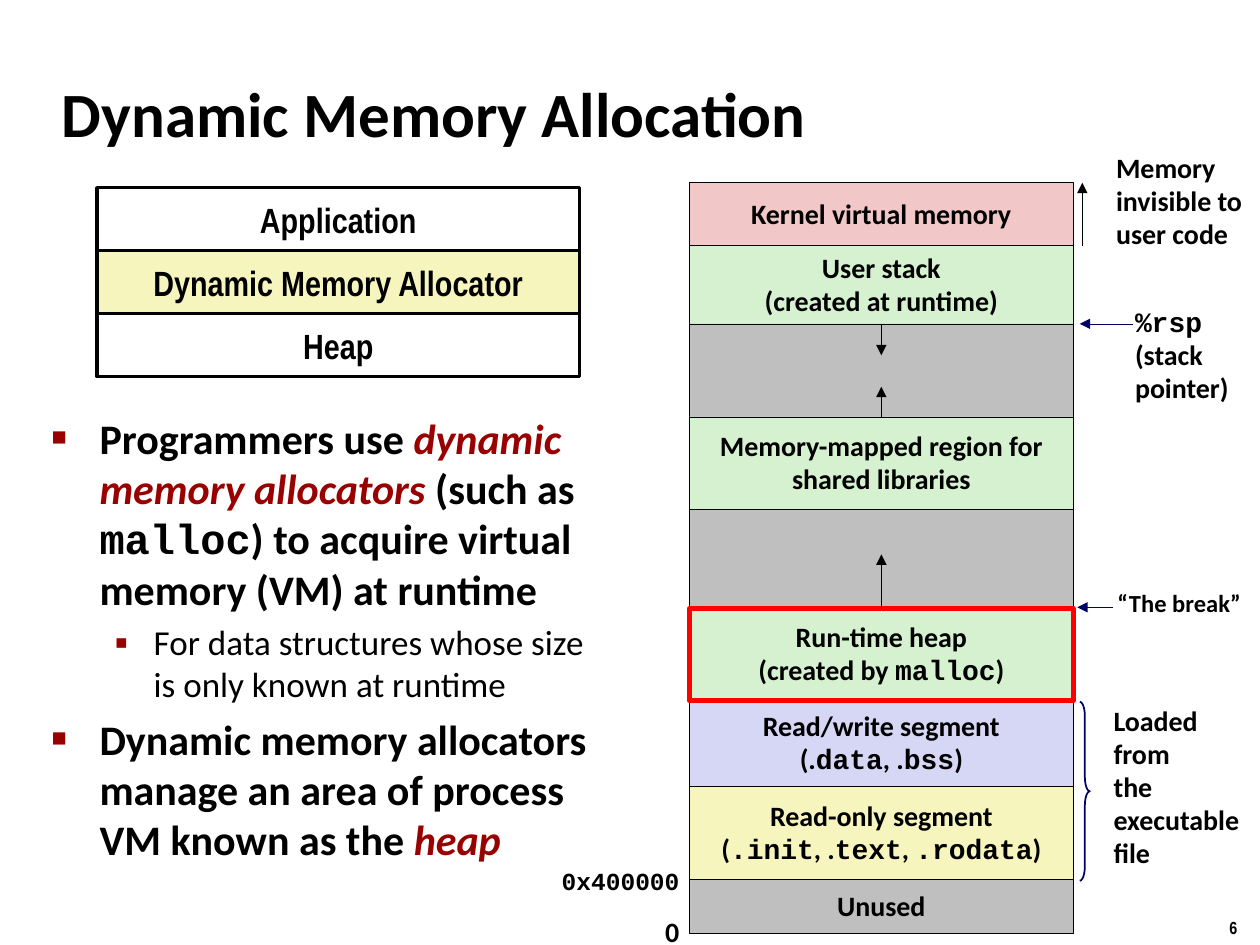
from dataclasses import dataclass
from itertools import pairwise

from lxml.etree import SubElement
from pptx import Presentation
from pptx.dml.color import RGBColor
from pptx.enum.shapes import MSO_CONNECTOR as Connector, MSO_SHAPE as Shape
from pptx.enum.text import MSO_ANCHOR as Anchor, MSO_AUTO_SIZE as AutoSize, PP_ALIGN as Align
from pptx.oxml.ns import qn
from pptx.util import Inches, Pt


@dataclass(frozen=True)
class Theme:
    black: str = "000000"
    white: str = "FFFFFF"
    navy: str = "000066"
    crimson: str = "990000"
    red: str = "FF0000"
    pink: str = "F1C7C7"
    green: str = "D5F1CF"
    gray: str = "BFBFBF"
    lilac: str = "D6D6F5"
    yellow: str = "F6F5BD"
    body_font: str = "Calibri"
    code_font: str = "Courier New"
    narrow_font: str = "Arial Narrow"
    title_size: int = 36
    point_size: int = 24
    large_size: int = 20
    label_size: int = 16
    small_size: int = 14
    number_size: int = 10
    hairline: float = 0.25


class SlideBuilder:
    """Place styled elements on a slide using a grid of 100 columns by 75 rows."""

    def __init__(self, presentation, theme):
        self.theme = theme
        self.column = presentation.slide_width / 100
        self.row = presentation.slide_height / 75
        self.slide = presentation.slides.add_slide(presentation.slide_layouts[1])

    def box(self, left, top, width, height):
        return (round(left * self.column), round(top * self.row),
                round(width * self.column), round(height * self.row))

    def move(self, shape, area):
        for name, value in zip(("left", "top", "width", "height"), self.box(*area)):
            setattr(shape, name, value)

    def add_runs(self, paragraph, pieces, size, font=None, bold=True):
        theme = self.theme
        for piece in [pieces] if isinstance(pieces, str) else pieces:
            style, text = ("plain", piece) if isinstance(piece, str) else piece
            run = paragraph.add_run()
            run.text = text
            emphasis = style == "emphasis"
            name = theme.code_font if style == "code" else font or theme.body_font
            values = {"name": name, "size": Pt(size), "bold": bold, "italic": emphasis}
            for key, value in values.items():
                setattr(run.font, key, value)
            run.font.color.rgb = RGBColor.from_string(theme.crimson if emphasis else theme.black)

    def fill_text(self, shape, lines, size, font=None, align=Align.LEFT, spacing=None, **frame_format):
        frame = shape.text_frame
        frame.word_wrap = False
        for key, value in frame_format.items():
            setattr(frame, key, value)
        for index, pieces in enumerate(lines):
            paragraph = frame.add_paragraph() if index else frame.paragraphs[0]
            for key, value in {"alignment": align, "line_spacing": spacing}.items():
                setattr(paragraph, key, value)
            self.add_runs(paragraph, pieces, size, font)

    def title(self, text, area):
        shape = self.slide.shapes.title
        self.move(shape, area)
        self.fill_text(shape, [text], self.theme.title_size, word_wrap=True,
                       vertical_anchor=Anchor.MIDDLE, auto_size=AutoSize.NONE)
        self.indent(shape.text_frame.paragraphs[0], 0.13, 0.13)

    def indent(self, paragraph, margin, hanging):
        properties = paragraph._p.get_or_add_pPr()
        properties.set("marL", str(Inches(margin)))
        properties.set("indent", str(-Inches(hanging)))
        return properties

    def bullets(self, items, area):
        theme = self.theme
        levels = [(0.38, 0.38, "■", 60, theme.point_size, True),
                  (0.81, 0.31, "▪", 110, theme.large_size, False)]
        shape = self.slide.placeholders[1]
        self.move(shape, area)
        frame = shape.text_frame
        for key, value in {"word_wrap": True, "auto_size": AutoSize.NONE,
                           "vertical_anchor": Anchor.TOP}.items():
            setattr(frame, key, value)
        for index, (level, pieces) in enumerate(items):
            margin, hanging, symbol, percent, size, bold = levels[level]
            paragraph = frame.add_paragraph() if index else frame.paragraphs[0]
            properties = self.indent(paragraph, margin, hanging)
            color = SubElement(properties, qn("a:buClr"))
            SubElement(color, qn("a:srgbClr"), val=theme.crimson)
            SubElement(properties, qn("a:buSzPct"), val=str(percent * 1000))
            SubElement(properties, qn("a:buChar"), char=symbol)
            paragraph.level = level
            paragraph.space_before = Pt(size * 0.2 if index else 0)
            self.add_runs(paragraph, pieces, size, bold=bold)

    def outline(self, shape, color, width):
        shape.line.color.rgb = RGBColor.from_string(color)
        shape.line.width = Pt(width)

    def block(self, area, lines, fill, size, line=None, width=None, font=None, spacing=None):
        shape = self.slide.shapes.add_shape(Shape.RECTANGLE, *self.box(*area))
        shape.shadow.inherit = False
        shape.fill.solid()
        shape.fill.fore_color.rgb = RGBColor.from_string(fill)
        self.outline(shape, line or self.theme.black, width or self.theme.hairline)
        self.fill_text(shape, lines, size, font, Align.CENTER, spacing, vertical_anchor=Anchor.MIDDLE)
        return shape

    def label(self, area, lines, size, font=None, spacing=None):
        shape = self.slide.shapes.add_textbox(*self.box(*area))
        self.fill_text(shape, lines, size, font, spacing=spacing, auto_size=AutoSize.SHAPE_TO_FIT_TEXT)

    def arrow(self, start, end, color, source=None, site=None):
        ends = self.box(*start, *end)
        shape = self.slide.shapes.add_connector(Connector.STRAIGHT, *ends)
        if source is not None:
            shape.begin_connect(source, site)
        self.outline(shape, color, self.theme.hairline)
        properties = shape._element.spPr
        SubElement(properties.find(qn("a:ln")), qn("a:tailEnd"), type="triangle")
        SubElement(properties, qn("a:effectLst"))

    def brace(self, area, color):
        shape = self.slide.shapes.add_shape(Shape.RIGHT_BRACE, *self.box(*area))
        shape.shadow.inherit = False
        shape.fill.background()
        shape.adjustments[0] = 1.417
        self.outline(shape, color, 1)


def main():
    presentation = Presentation()
    presentation.slide_width, presentation.slide_height = Inches(10), Inches(7.5)
    theme = Theme()
    builder = SlideBuilder(presentation, theme)

    builder.label((96.6, 72.3, 3.4, 2.7), ["6"], theme.number_size, theme.narrow_font)
    builder.title("Dynamic Memory Allocation", (3.9, 4.8, 83, 8.3))
    builder.bullets([
        (0, ["Programmers use ", ("emphasis", "dynamic memory allocators "), "(such as ",
             ("code", "malloc"), ") to acquire virtual memory (VM) at runtime"]),
        (1, "For data structures whose size is only known at runtime"),
        (0, ["Dynamic memory allocators manage an area of process VM known as the ",
             ("emphasis", "heap")]),
    ], (3.1, 32.2, 44.8, 41.7))

    layers = [("Application", theme.white), ("Dynamic Memory Allocator", theme.yellow),
              ("Heap", theme.white)]
    for index, (name, fill) in enumerate(layers):
        builder.block((7.7, 14.9 + 5 * index, 38.3, 5), [name], fill, theme.large_size,
                      width=2, font=theme.narrow_font)

    edges = [14.5, 19.5, 25.7, 33.1, 40.4, 48.3, 55.6, 62.4, 69.8, 74.1]
    regions = [
        ("kernel", theme.pink, ["Kernel virtual memory"]),
        ("stack", theme.green, ["User stack", "(created at runtime)"]),
        ("upper gap", theme.gray, []),
        ("shared", theme.green, ["Memory-mapped region for", "shared libraries"]),
        ("lower gap", theme.gray, []),
        ("heap", theme.green, ["Run-time heap", ["(created by ", ("code", "malloc"), ")"]]),
        ("data", theme.lilac, ["Read/write segment",
                               ["(.", ("code", "data"), ", .", ("code", "bss"), ")"]]),
        ("code", theme.yellow, ["Read-only segment",
                                ["(", ("code", ".init"), ", .", ("code", "text"), ", ",
                                 ("code", ".rodata"), ")"]]),
        ("unused", theme.gray, ["Unused"]),
    ]
    blocks = {}
    stacked = zip(regions, pairwise(edges))
    for (name, fill, lines), (top, bottom) in sorted(stacked, key=lambda entry: entry[0][0] == "heap"):
        accent = {"line": theme.red, "width": 3} if name == "heap" else {}
        blocks[name] = builder.block((54.7, top, 30.5, bottom - top), lines, fill,
                                     theme.label_size, spacing=0.98, **accent)

    middle = 54.7 + 30.5 / 2
    for name, site, start, end in [("stack", 2, 25.7, 28.2), ("shared", 0, 33.1, 30.7),
                                   ("heap", 0, 48.3, 44)]:
        builder.arrow((middle, start), (middle, end), theme.black, blocks[name], site)
    builder.arrow((85.9, 19.5), (85.9, 14.5), theme.black)
    builder.arrow((89.9, 25.7), (85.7, 25.7), theme.navy)
    builder.arrow((88.3, 48.2), (85.5, 48.2), theme.navy)
    builder.brace((85.7, 55.7, 0.8, 14.2), theme.navy)

    for area, lines, size, spacing in [
        ((87.6, 11.6, 12.6, 8.9), ["Memory", "invisible to", "user code"], theme.label_size, 0.98),
        ((89.1, 23.8, 9.5, 8.8), [[("code", "%rsp")], "(stack", "pointer)"], theme.label_size, 0.98),
        ((87.7, 46.4, 11.8, 3.2), ["“The break”"], theme.small_size, 0.94),
        ((87.4, 55.5, 12.6, 14.2), ["Loaded", "from", "the", "executable", "file"],
         theme.label_size, 0.98),
        ((43.6, 68.4, 11.4, 3.3), [[("code", "0x400000")]], theme.small_size, 0.94),
        ((51.8, 72.2, 3.1, 3.7), ["0"], theme.label_size, 0.98),
    ]:
        builder.label(area, lines, size, spacing=spacing)

    presentation.save("out.pptx")


if __name__ == "__main__":
    main()
